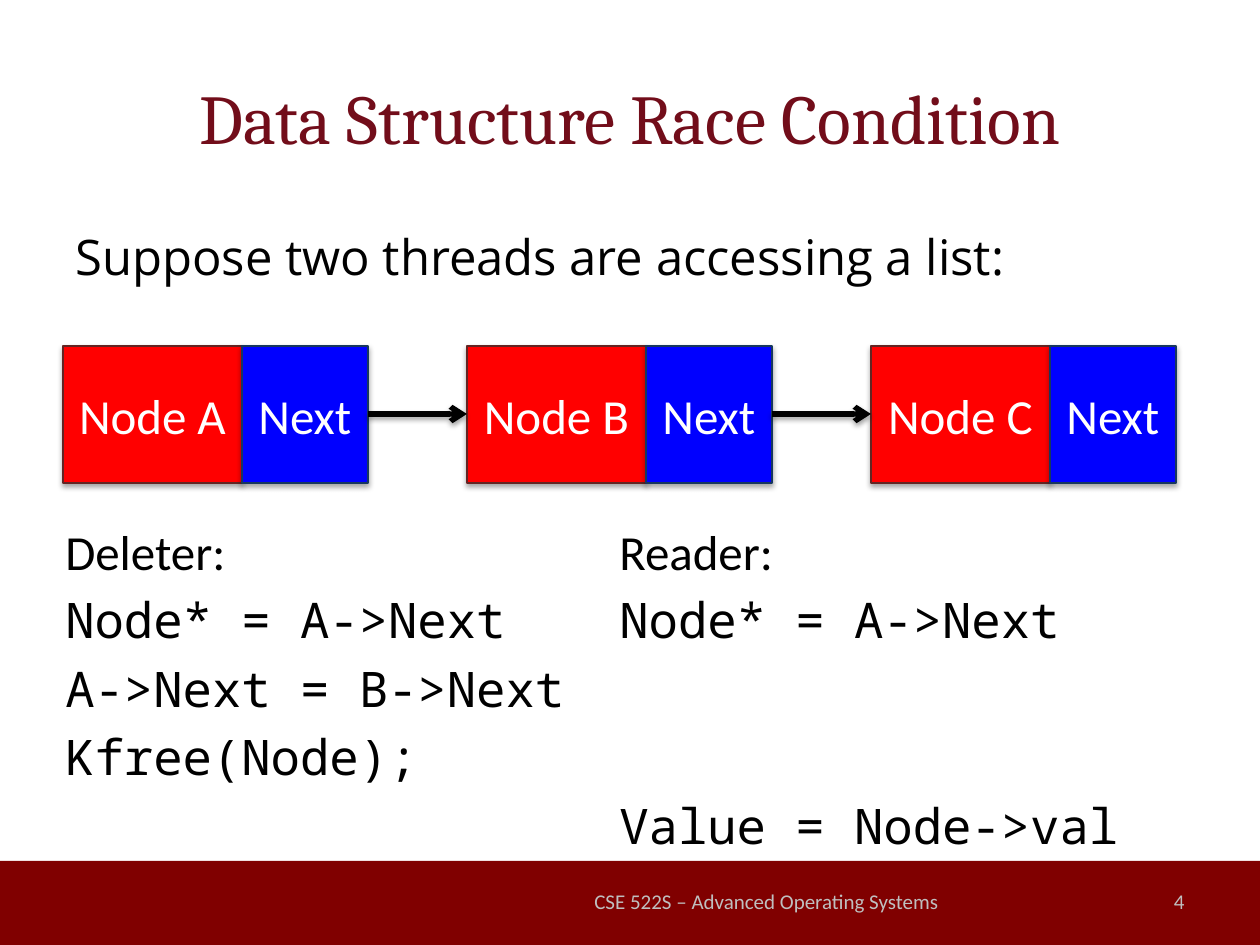
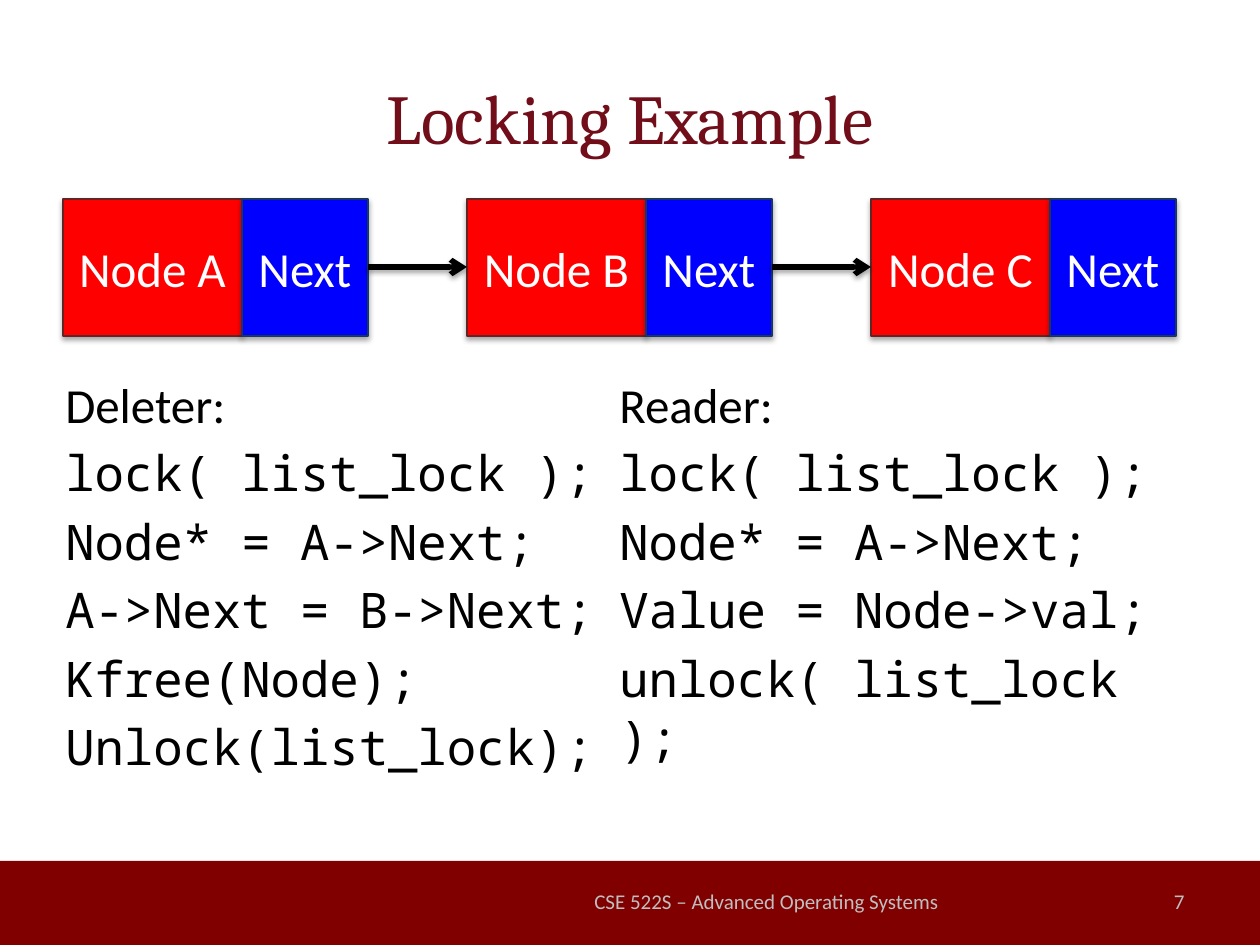
from lxml import etree
from pptx import Presentation
from pptx.dml.color import RGBColor
from pptx.enum.shapes import MSO_CONNECTOR, MSO_SHAPE
from pptx.enum.text import MSO_ANCHOR, PP_ALIGN
from pptx.oxml.ns import qn
from pptx.util import Emu, Pt

PIXEL = 914400 // 126
RECTANGLE = MSO_SHAPE.RECTANGLE
STRAIGHT = MSO_CONNECTOR.STRAIGHT
TOP, MIDDLE = MSO_ANCHOR.TOP, MSO_ANCHOR.MIDDLE
LEFT, CENTER, RIGHT = PP_ALIGN.LEFT, PP_ALIGN.CENTER, PP_ALIGN.RIGHT

BLACK = RGBColor(0x00, 0x00, 0x00)
WHITE = RGBColor(0xFF, 0xFF, 0xFF)
MAROON = RGBColor(0x80, 0x00, 0x00)
TITLE_RED = RGBColor(0x72, 0x0D, 0x1A)
FOOTER_GRAY = RGBColor(0xBF, 0xBF, 0xBF)
RED = RGBColor(0xFF, 0x00, 0x00)
DARK_RED = RGBColor(0x63, 0x25, 0x23)
BLUE = RGBColor(0x00, 0x00, 0xFF)
DARK_BLUE = RGBColor(0x17, 0x37, 0x5E)

SANS, SERIF, MONO, BODY = "Calibri", "Cambria", "Noto Sans Mono", "Open Sans"
LINE_HEIGHT, PARAGRAPH_GAP = 34.2, 4.9

NODE_LEFT, NODE_STEP, NODE_HEIGHT = 63, 404, 137
NAME_WIDTH, NEXT_WIDTH = 179, 126
CODE_LEFT, CODE_STEP, CODE_WIDTH, CODE_OFFSET = 53, 554, 580, 168

SLIDES = [
    {
        "title": "Data Structure Race Condition",
        "intro": "Suppose two threads are accessing a list:",
        "number": "4",
        "node_top": 346,
        "code_height": 347,
        "threads": [
            ["Deleter:", "Node* = A->Next", "A->Next = B->Next", "Kfree(Node);"],
            ["Reader:", "Node* = A->Next", "Value = Node->val"],
        ],
        "waits": [{}, {2: 2}],
    },
    {
        "title": "Locking Example",
        "intro": None,
        "number": "7",
        "node_top": 199,
        "code_height": 473,
        "threads": [
            ["Deleter:", "lock( list_lock );", "Node* = A->Next;",
             "A->Next = B->Next;", "Kfree(Node);", "Unlock(list_lock);"],
            ["Reader:", "lock( list_lock );", "Node* = A->Next;",
             "Value = Node->val;", "unlock( list_lock );"],
        ],
        "waits": [{}, {}],
    },
]


def write(shape, *lines, font=SANS, heading_font=None, size=28, color=BLACK,
          align=LEFT, anchor=TOP, line_height=None, gap=0, waits={}):
    frame = shape.text_frame
    frame.word_wrap = True
    frame.vertical_anchor = anchor
    for index, line in enumerate(lines):
        paragraph = frame.add_paragraph() if index else frame.paragraphs[0]
        paragraph.alignment = align
        if line_height:
            paragraph.line_spacing = Pt(line_height)
            paragraph.space_before = Pt(gap + waits.get(index, 0) * (line_height + gap))
        run = paragraph.add_run()
        run.text = line
        run.font.name = heading_font if heading_font and index == 0 else font
        run.font.size = Pt(size)
        run.font.color.rgb = color


def add_shadow(shape, distance, opacity):
    effects = etree.SubElement(shape._element.spPr, qn("a:effectLst"))
    shadow = etree.SubElement(effects, qn("a:outerShdw"), blurRad="40000",
                              dist=str(distance), dir="5400000", rotWithShape="0")
    color = etree.SubElement(shadow, qn("a:srgbClr"), val=str(BLACK))
    etree.SubElement(color, qn("a:alpha"), val=str(opacity * 1000))


presentation = Presentation()
presentation.slide_width = Emu(1260 * PIXEL)
presentation.slide_height = Emu(945 * PIXEL)

for content in SLIDES:
    slide = presentation.slides.add_slide(presentation.slide_layouts[6])

    band = slide.shapes.add_shape(RECTANGLE, 0, 861 * PIXEL, 1260 * PIXEL, 84 * PIXEL)
    band.shadow.inherit = False
    band.fill.solid()
    band.fill.fore_color.rgb = MAROON
    band.line.fill.background()

    title = slide.shapes.add_textbox(63 * PIXEL, 38 * PIXEL, 1134 * PIXEL, 157 * PIXEL)
    write(title, content["title"], font=SERIF, size=40, color=TITLE_RED,
          align=CENTER, anchor=MIDDLE)

    if content["intro"]:
        intro = slide.shapes.add_textbox(63 * PIXEL, 220 * PIXEL, 1134 * PIXEL, 116 * PIXEL)
        write(intro, content["intro"], font=BODY)

    footers = [
        (567, 399, "CSE 522S – Advanced Operating Systems", CENTER),
        (903, 294, content["number"], RIGHT),
    ]
    for left, width, text, align in footers:
        footer = slide.shapes.add_textbox(left * PIXEL, 876 * PIXEL, width * PIXEL, 50 * PIXEL)
        write(footer, text, size=12, color=FOOTER_GRAY, align=align, anchor=MIDDLE)

    node_top = content["node_top"]
    for index, letter in enumerate("ABC"):
        left = NODE_LEFT + index * NODE_STEP
        node = slide.shapes.add_group_shape()
        cells = [
            (left, NAME_WIDTH, f"Node {letter}", RED, DARK_RED),
            (left + NAME_WIDTH, NEXT_WIDTH, "Next", BLUE, DARK_BLUE),
        ]
        for cell_left, width, text, fill, outline in cells:
            cell = node.shapes.add_shape(RECTANGLE, cell_left * PIXEL, node_top * PIXEL,
                                         width * PIXEL, NODE_HEIGHT * PIXEL)
            cell.fill.solid()
            cell.fill.fore_color.rgb = fill
            cell.line.color.rgb = outline
            cell.line.width = Pt(0.75)
            add_shadow(cell, 23000, 35)
            write(cell, text, color=WHITE, align=CENTER, anchor=MIDDLE)

    for index in range(2):
        start = NODE_LEFT + index * NODE_STEP + NAME_WIDTH + NEXT_WIDTH
        end = NODE_LEFT + (index + 1) * NODE_STEP
        middle = node_top + NODE_HEIGHT // 2
        arrow = slide.shapes.add_connector(STRAIGHT, start * PIXEL, middle * PIXEL,
                                           end * PIXEL, middle * PIXEL)
        arrow.line.color.rgb = BLACK
        arrow.line.width = Pt(3)
        etree.SubElement(arrow.line._get_or_add_ln(), qn("a:tailEnd"), type="arrow")
        add_shadow(arrow, 20000, 38)

    for index, (lines, waits) in enumerate(zip(content["threads"], content["waits"])):
        code = slide.shapes.add_textbox((CODE_LEFT + index * CODE_STEP) * PIXEL,
                                        (node_top + CODE_OFFSET) * PIXEL,
                                        CODE_WIDTH * PIXEL, content["code_height"] * PIXEL)
        write(code, *lines, font=MONO, heading_font=SANS,
              line_height=LINE_HEIGHT, gap=PARAGRAPH_GAP, waits=waits)

presentation.save("out.pptx")
